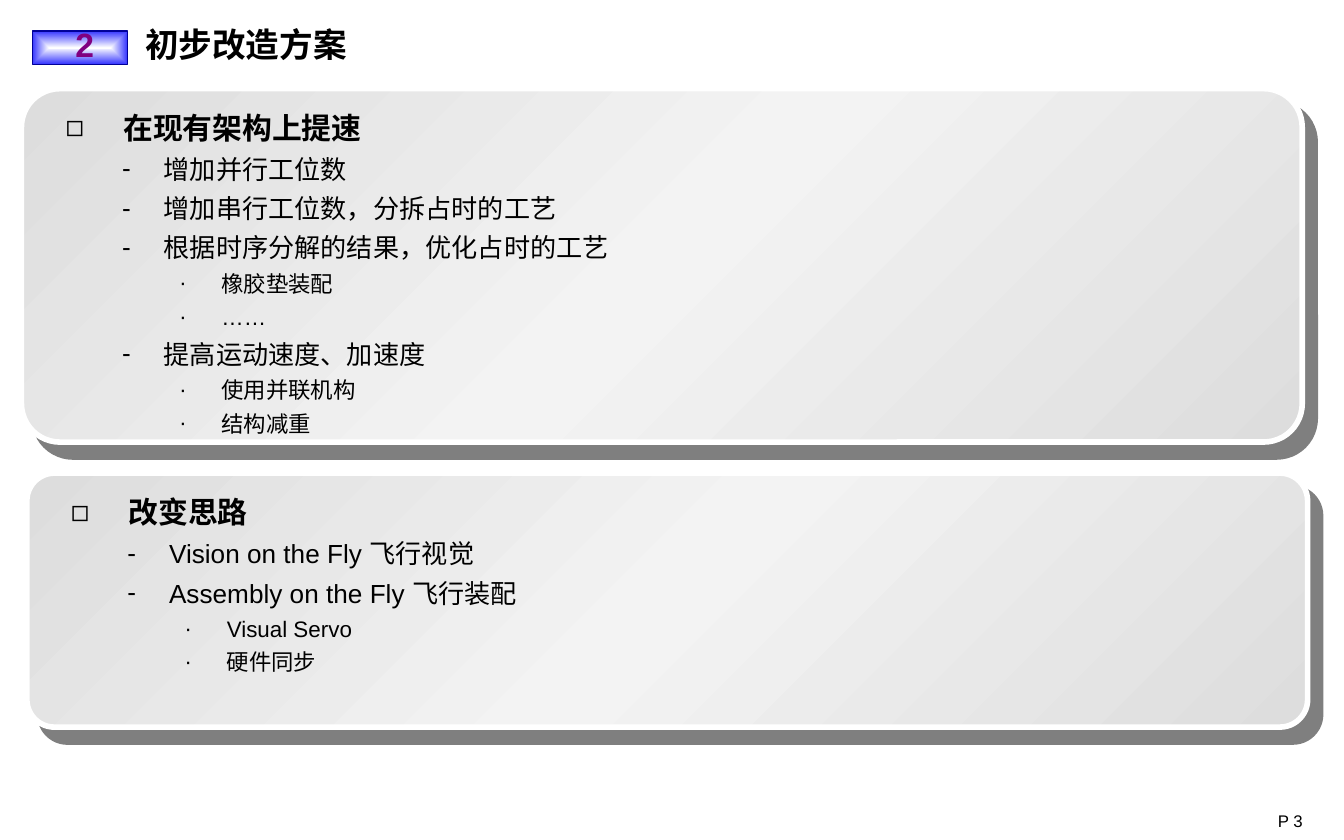
from lxml.etree import SubElement
from pptx import Presentation
from pptx.dml.color import RGBColor
from pptx.enum.shapes import MSO_SHAPE as Shape
from pptx.enum.text import MSO_ANCHOR as Anchor, PP_ALIGN as Align
from pptx.oxml import parse_xml
from pptx.oxml.ns import nsdecls, qn
from pptx.util import Inches, Pt

COLORS = {"text": "000000", "number": "800080", "badge": "3333FF", "badge_line": "000099",
          "white": "FFFFFF", "panel_edge": "DDDDDD", "panel_mid": "F3F3F3"}
LATIN, CJK = "Arial", "Noto Sans CJK SC"

TITLE, SECTION_NUMBER, PAGE_NUMBER = "初步改造方案", "2", "P 3"
# Each panel: left, top, height, then (level, text) lines
PANELS = [
    (0.16, 0.66, 2.63, [
        (0, "在现有架构上提速"),
        (1, "增加并行工位数"),
        (1, "增加串行工位数，分拆占时的工艺"),
        (1, "根据时序分解的结果，优化占时的工艺"),
        (2, "橡胶垫装配"),
        (2, "……"),
        (1, "提高运动速度、加速度"),
        (2, "使用并联机构"),
        (2, "结构减重"),
    ]),
    (0.2, 3.52, 1.89, [
        (0, "改变思路"),
        (1, "Vision on the Fly 飞行视觉"),
        (1, "Assembly on the Fly 飞行装配"),
        (2, "Visual Servo"),
        (2, "硬件同步"),
    ]),
]
PANEL_WIDTH = 9.53
# Per level: bullet, left margin, hanging indent, size
LEVELS = [("◻", 0.43, 0.43, 16), ("-", 0.73, 0.31, 14), ("∙", 1.16, 0.31, 12)]


def rgb(name):
    return RGBColor.from_string(COLORS[name])


def style(paragraph, size, bold=False, color="text", latin=LATIN, asian=CJK):
    for run in paragraph.runs:
        font = run.font
        font.size, font.bold, font.name = Pt(size), bold, latin
        font.color.rgb = rgb(color)
        SubElement(run._r.get_or_add_rPr(), qn("a:ea")).set("typeface", asian)


def write(box, text, size, align=Align.LEFT, anchor=Anchor.TOP, **look):
    frame = box.text_frame
    frame.word_wrap, frame.vertical_anchor = True, anchor
    frame.text = text
    frame.paragraphs[0].alignment = align
    style(frame.paragraphs[0], size, **look)


def text_box(left, top, width, height):
    return slide.shapes.add_textbox(Inches(left), Inches(top), Inches(width), Inches(height))


def gradient_box(kind, area, stops, direction, line, line_width):
    box = slide.shapes.add_shape(kind, *map(Inches, area))
    box.shadow.inherit = False
    box.line.color.rgb, box.line.width = rgb(line), Pt(line_width)
    marks = "".join(f'<a:gs pos="{pos * 1000}"><a:srgbClr val="{COLORS[name]}"/></a:gs>'
                    for pos, name in stops)
    fill = parse_xml(f'<a:gradFill {nsdecls("a")} rotWithShape="1">'
                     f'<a:gsLst>{marks}</a:gsLst>{direction}</a:gradFill>')
    box._element.spPr.find(qn("a:prstGeom")).addnext(fill)
    return box


def add_bullet(paragraph, symbol, margin, hanging):
    props = paragraph._p.get_or_add_pPr()
    props.set("marL", str(Inches(margin)))
    props.set("indent", str(-Inches(hanging)))
    color = SubElement(SubElement(props, qn("a:buClr")), qn("a:srgbClr"))
    color.set("val", COLORS["text"])
    SubElement(props, qn("a:buFont")).set("typeface", LATIN)
    SubElement(props, qn("a:buChar")).set("char", symbol)


def add_panel(left, top, height, lines):
    panel = gradient_box(Shape.ROUNDED_RECTANGLE, (left, top, PANEL_WIDTH, height),
                         [(0, "panel_edge"), (50, "panel_mid"), (100, "panel_edge")],
                         '<a:lin ang="2700000" scaled="0"/>', "white", 3)
    panel.adjustments[0] = 0.109
    panel._element.spPr.find(qn("a:effectLst")).append(parse_xml(
        f'<a:outerShdw {nsdecls("a")} dist="{Pt(10.6)}" dir="{49 * 60000}" algn="ctr" '
        f'rotWithShape="0"><a:srgbClr val="{COLORS["text"]}"><a:alpha val="50000"/>'
        '</a:srgbClr></a:outerShdw>'))

    frame = text_box(left + 0.23, top + 0.04, PANEL_WIDTH - 0.4, height).text_frame
    frame.word_wrap = True
    for index, (level, text) in enumerate(lines):
        paragraph = frame.add_paragraph() if index else frame.paragraphs[0]
        symbol, margin, hanging, size = LEVELS[level]
        paragraph.text, paragraph.level = text, level
        paragraph.alignment, paragraph.line_spacing = Align.JUSTIFY, 1.25
        add_bullet(paragraph, symbol, margin, hanging)
        style(paragraph, size, bold=level == 0, asian=LATIN if level else CJK)


deck = Presentation()
deck.slide_width, deck.slide_height = Inches(10), Inches(6.25)
slide = deck.slides.add_slide(deck.slide_layouts[5])

# Title with its section number
title = slide.shapes.title
title.left, title.top, title.width, title.height = map(Inches, (0.98, 0.13, 2.99, 0.4))
write(title, TITLE, 18, anchor=Anchor.MIDDLE, bold=True, latin=CJK)
gradient_box(Shape.RECTANGLE, (0.24, 0.23, 0.71, 0.25), [(0, "white"), (100, "badge")],
             '<a:path path="shape"><a:fillToRect l="50000" t="50000" r="50000" b="50000"/></a:path>',
             "badge_line", 0.75)
write(text_box(0.29, 0.13, 0.68, 0.4), SECTION_NUMBER, 18, Align.CENTER, bold=True, color="number")

# Content panels
for panel_content in PANELS:
    add_panel(*panel_content)

# Page number
write(text_box(9.41, 5.98, 0.51, 0.31), PAGE_NUMBER, 9)

deck.save("out.pptx")
